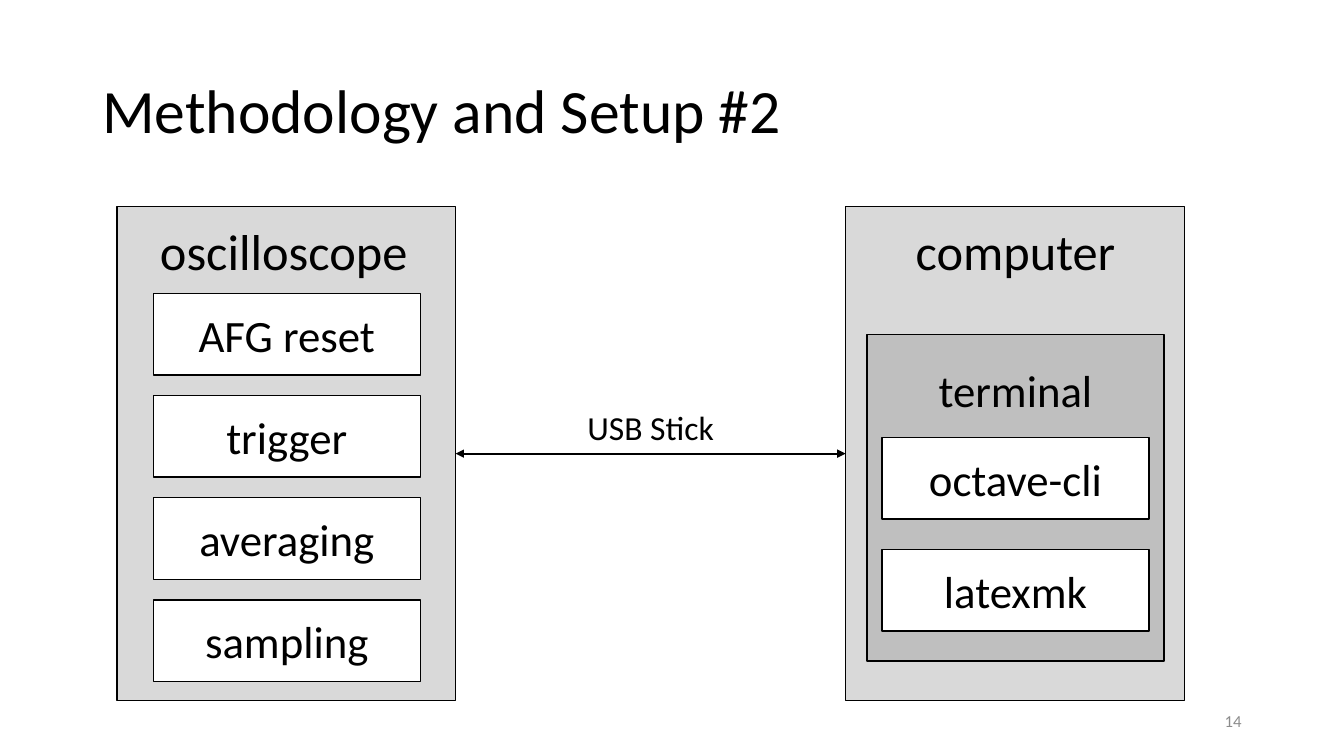
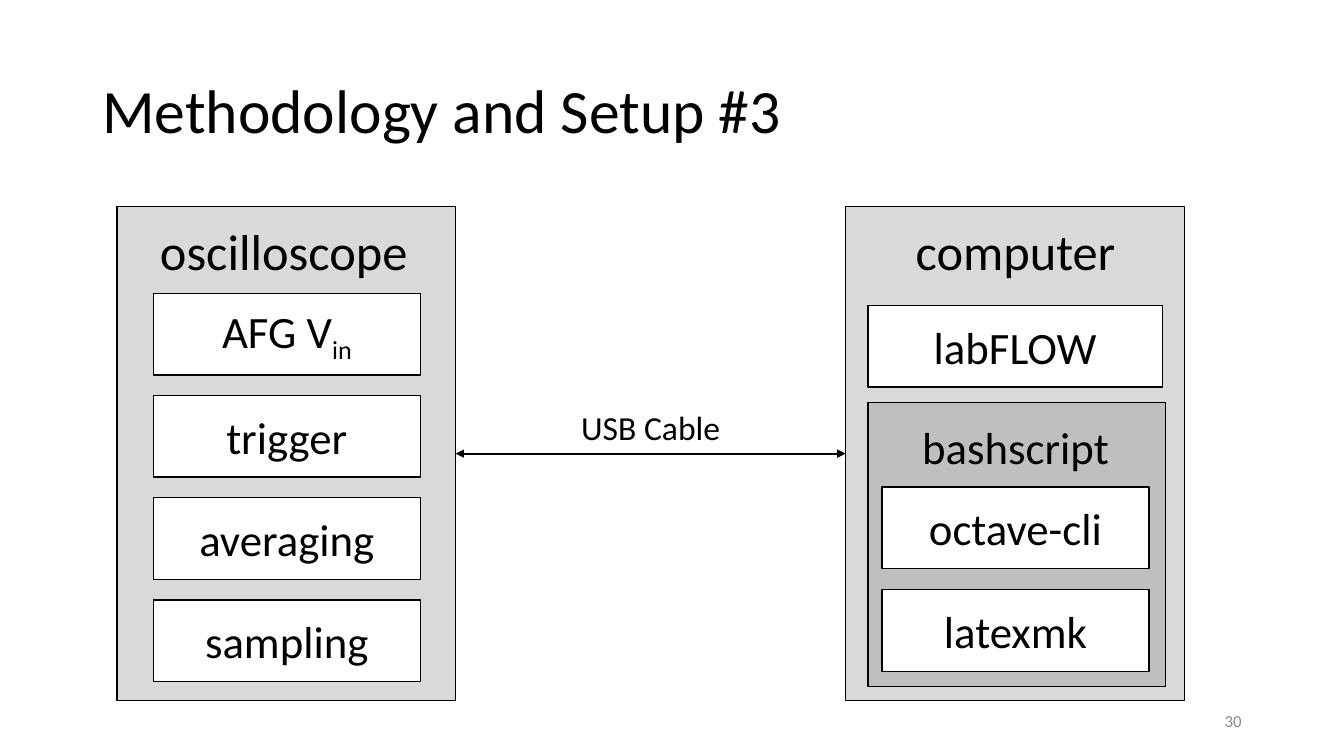
from lxml.etree import SubElement
from pptx import Presentation
from pptx.dml.color import RGBColor
from pptx.enum.shapes import MSO_CONNECTOR, MSO_SHAPE
from pptx.enum.text import MSO_ANCHOR, PP_ALIGN
from pptx.oxml.ns import qn
from pptx.util import Pt

COLORS = {
    "ink": "000000",
    "device": "D9D9D9",
    "program": "BFBFBF",
    "step": "FFFFFF",
    "page": "8C8C8C",
}
FONT = "Calibri"
DEVICE_TOP, DEVICE_WIDTH, DEVICE_HEIGHT = 147.6, 242, 352.8
OSCILLOSCOPE_LEFT, COMPUTER_LEFT = 83.5, 604
HEADING_WIDTH = 226.8
STEP_WIDTH, STEP_HEIGHT = 190.8, 58.3
OSCILLOSCOPE_STEP_LEFT, COMPUTER_STEP_LEFT = 109.5, 630
FIRST_STEP_TOP, STEP_PITCH = 209.5, 73
COMPUTER_HEADING_LEFT = 612


def color(name):
    return RGBColor.from_string(COLORS[name])


def write(shape, text, size, ink="ink", align=PP_ALIGN.CENTER,
          anchor=MSO_ANCHOR.MIDDLE, subscript=""):
    frame = shape.text_frame
    frame.word_wrap = True
    frame.vertical_anchor = anchor
    paragraph = frame.paragraphs[0]
    paragraph.alignment = align
    paragraph.add_run().text = text
    if subscript:
        index = paragraph.add_run()
        index.text = subscript
        index._r.get_or_add_rPr().set("baseline", "-25000")
    paragraph.font.name = FONT
    paragraph.font.size = Pt(size)
    paragraph.font.color.rgb = color(ink)
    return paragraph


def add_label(slide, text, left, top, width, height, size, **style):
    label = slide.shapes.add_textbox(Pt(left), Pt(top), Pt(width), Pt(height))
    return write(label, text, size, **style)


def add_heading(slide, text, left, top, size):
    add_label(slide, text, left, top, HEADING_WIDTH, size * 1.42, size,
              anchor=MSO_ANCHOR.TOP)


def add_box(slide, fill, left, top, width, height):
    box = slide.shapes.add_shape(
        MSO_SHAPE.RECTANGLE, Pt(left), Pt(top), Pt(width), Pt(height))
    box.shadow.inherit = False
    box.fill.solid()
    box.fill.fore_color.rgb = color(fill)
    box.line.color.rgb = color("ink")
    box.line.width = Pt(1)
    return box


def add_step(slide, text, left, top, width=STEP_WIDTH, subscript=""):
    step = add_box(slide, "step", left, top, width, STEP_HEIGHT)
    write(step, text, 32, subscript=subscript)


def add_device(slide, name, left, heading_left):
    device = add_box(slide, "device", left, DEVICE_TOP, DEVICE_WIDTH, DEVICE_HEIGHT)
    add_heading(slide, name, heading_left, 153.4, 36)
    return device


def add_link(slide, text, start, end):
    link = slide.shapes.add_connector(MSO_CONNECTOR.STRAIGHT, 0, 0, 0, 0)
    link.begin_connect(start, 3)
    link.end_connect(end, 1)
    link.line.color.rgb = color("ink")
    link.line.width = Pt(1.5)
    line = link.line._get_or_add_ln()
    for tip in ("a:headEnd", "a:tailEnd"):
        SubElement(line, qn(tip), type="triangle")
    SubElement(link._element.spPr, qn("a:effectLst"))
    add_label(slide, text, 345.6, 287.3, 238.3, 36, 24, anchor=MSO_ANCHOR.TOP)


def add_program(slide, name, left, top, height, heading_top, step_tops):
    add_box(slide, "program", left, top, 212.4, height)
    add_heading(slide, name, COMPUTER_HEADING_LEFT, heading_top, 32)
    for step, step_top in zip(("octave-cli", "latexmk"), step_tops):
        add_step(slide, step, COMPUTER_STEP_LEFT, step_top)


def add_setup(deck, number, page, link, generator):
    slide = deck.slides.add_slide(deck.slide_layouts[6])
    title = add_label(slide, f"Methodology and Setup #{number}", 66, 28.8, 828, 104.4,
                      44, align=PP_ALIGN.LEFT)
    title.line_spacing = 0.9
    add_label(slide, page, 678, 500.4, 216, 28.8, 12, ink="page",
              align=PP_ALIGN.RIGHT)
    oscilloscope = add_device(slide, "oscilloscope", OSCILLOSCOPE_LEFT, 89.3)
    computer = add_device(slide, "computer", COMPUTER_LEFT, COMPUTER_HEADING_LEFT)
    steps = (generator, ("trigger", ""), ("averaging", ""), ("sampling", ""))
    for row, (step, subscript) in enumerate(steps):
        add_step(slide, step, OSCILLOSCOPE_STEP_LEFT,
                 FIRST_STEP_TOP + row * STEP_PITCH, subscript=subscript)
    add_link(slide, link, oscilloscope, computer)
    return slide


def main():
    deck = Presentation()
    deck.slide_width, deck.slide_height = Pt(960), Pt(540)

    stick_setup = add_setup(deck, 2, "14", "USB Stick", ("AFG reset", ""))
    add_program(stick_setup, "terminal", 619.2, 239, 233.3, 255.6, (312.5, 392.4))

    cable_setup = add_setup(deck, 3, "30", "USB Cable", ("AFG V", "in"))
    add_step(cable_setup, "labFLOW", 620, 218.2, width=210.2)
    add_program(cable_setup, "bashscript", 620, 287.3, 203, 295.9, (347.8, 421.2))

    deck.save("out.pptx")


if __name__ == "__main__":
    main()
